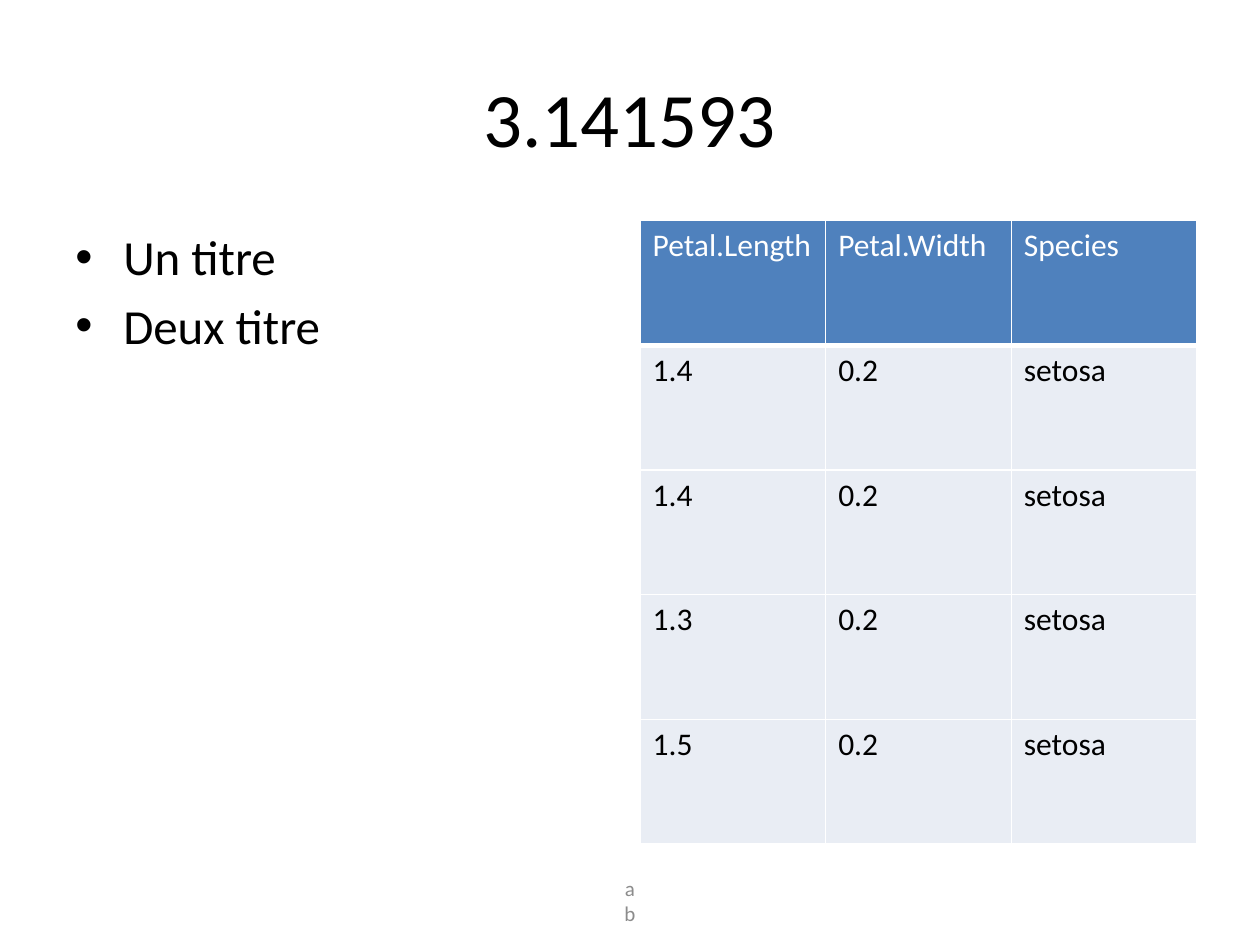
from pptx import Presentation
from pptx.dml.color import RGBColor
from pptx.enum.text import MSO_ANCHOR, PP_ALIGN
from pptx.oxml import parse_xml
from pptx.oxml.ns import nsdecls
from pptx.util import Inches, Pt

MIDDLE, TOP = MSO_ANCHOR.MIDDLE, MSO_ANCHOR.TOP
CENTER, LEFT = PP_ALIGN.CENTER, PP_ALIGN.LEFT

TITLE = "3.141593"
POINTS = ["Un titre", "Deux titre"]
FOOTER = ["a", "b"]
HEADER = ("Petal.Length", "Petal.Width", "Species")
FLOWERS = [
    ("1.4", "0.2", "setosa"),
    ("1.4", "0.2", "setosa"),
    ("1.3", "0.2", "setosa"),
    ("1.5", "0.2", "setosa"),
]

THEME = {
    "font": "Calibri",
    "ink": "000000", "pale": "FFFFFF", "muted": "8C8C8C",
    "head": "4F81BD", "band": "E9EDF4",
    "title": 44, "body": 28, "cell": 18, "foot": 12,
    "thin": 1, "thick": 3,
}

WIDE, HIGH = 10, 7.5
EDGE, GAP = 0.05 * WIDE, 0.16
HALF = (WIDE - 2 * EDGE - GAP) / 2
UPPER, DEPTH = 1.75, 0.66 * HIGH
FOOT = 3.17


def box(*sizes):
    """Turn inches into lengths."""
    return [Inches(size) for size in sizes]


def write(frame, lines, size, color, align=LEFT, anchor=TOP):
    """Fill a text frame with one run per paragraph."""
    frame.word_wrap = True
    frame.vertical_anchor = anchor
    for index, line in enumerate(lines):
        para = frame.paragraphs[0] if index == 0 else frame.add_paragraph()
        para.alignment = align
        run = para.add_run()
        run.text = line
        run.font.name = THEME["font"]
        run.font.size = Pt(THEME[size])
        run.font.color.rgb = RGBColor.from_string(THEME[color])


def bullet(para):
    """Give a paragraph a hanging bullet."""
    para.space_before = Pt(0.2 * THEME["body"])
    props = para._p.get_or_add_pPr()
    props.set("marL", str(Inches(0.38)))
    props.set("indent", str(-Inches(0.38)))
    props.append(parse_xml(f'<a:buFont {nsdecls("a")} typeface="Arial"/>'))
    props.append(parse_xml(f'<a:buChar {nsdecls("a")} char="•"/>'))


def border(cell, above, below):
    """Draw the four white edges of a cell."""
    props = cell._tc.get_or_add_tcPr()
    edges = {"L": "thin", "R": "thin", "T": above, "B": below}
    for index, (side, width) in enumerate(edges.items()):
        props.insert(index, parse_xml(
            f'<a:ln{side} {nsdecls("a")} w="{Pt(THEME[width])}"><a:solidFill>'
            f'<a:srgbClr val="{THEME["pale"]}"/></a:solidFill></a:ln{side}>'))


def grid(slide):
    """Add the flower table."""
    rows = [HEADER] + FLOWERS
    place = box(EDGE + HALF + GAP, UPPER, HALF, DEPTH)
    table = slide.shapes.add_table(len(rows), len(HEADER), *place).table
    for col in table.columns:
        col.width = Inches(HALF / len(HEADER))
    for r, row in enumerate(rows):
        table.rows[r].height = Inches(DEPTH / len(rows))
        for c, word in enumerate(row):
            cell = table.cell(r, c)
            cell.fill.solid()
            fill = THEME["band" if r else "head"]
            cell.fill.fore_color.rgb = RGBColor.from_string(fill)
            write(cell.text_frame, [word], "cell", "ink" if r else "pale")
            border(cell, "thick" if r == 1 else "thin",
                   "thin" if r else "thick")


def build():
    """Make and save the slide."""
    deck = Presentation()
    deck.slide_width, deck.slide_height = box(WIDE, HIGH)
    slide = deck.slides.add_slide(deck.slide_layouts[5])

    title = slide.shapes.title
    title.left, title.top, title.width, title.height = box(
        EDGE, 0.3, WIDE - 2 * EDGE, 1.25)
    write(title.text_frame, [TITLE], "title", "ink", CENTER, MIDDLE)

    foot = slide.shapes.add_textbox(*box((WIDE - FOOT) / 2, 6.95, FOOT, 0.4))
    write(foot.text_frame, FOOTER, "foot", "muted", CENTER, MIDDLE)

    body = slide.shapes.add_textbox(*box(EDGE, UPPER, HALF, DEPTH))
    write(body.text_frame, POINTS, "body", "ink")
    for para in body.text_frame.paragraphs:
        bullet(para)

    grid(slide)
    deck.save("out.pptx")


build()
